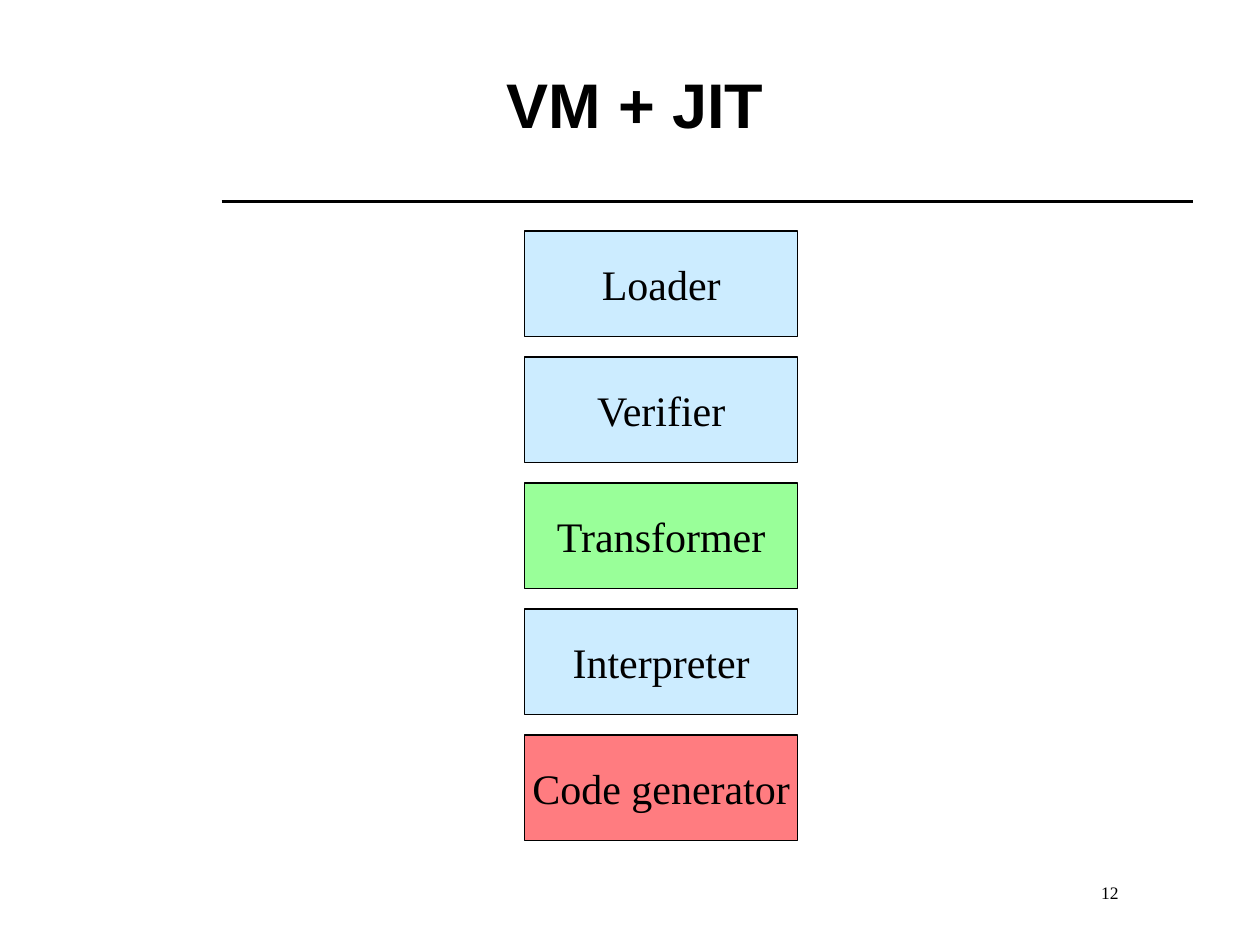
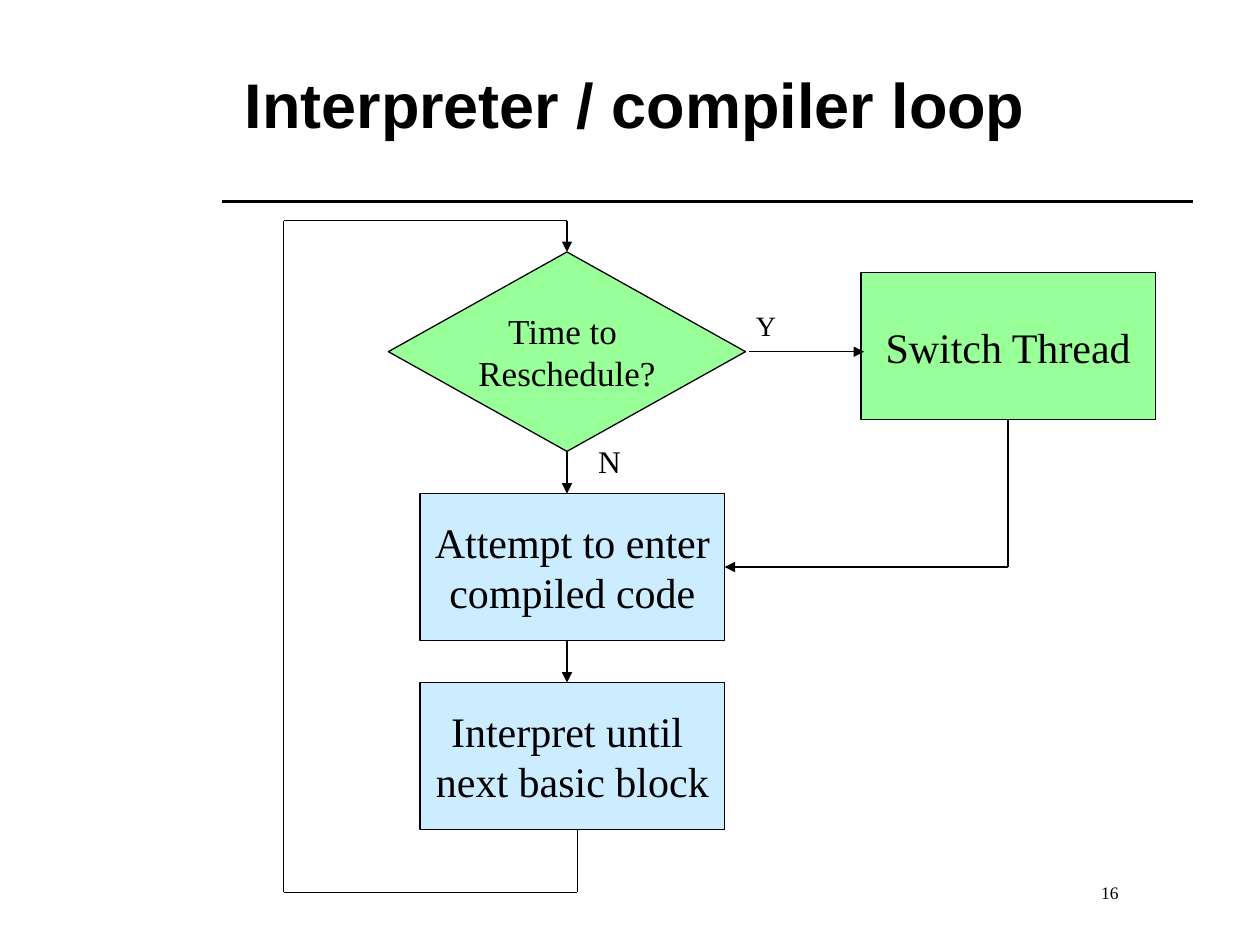
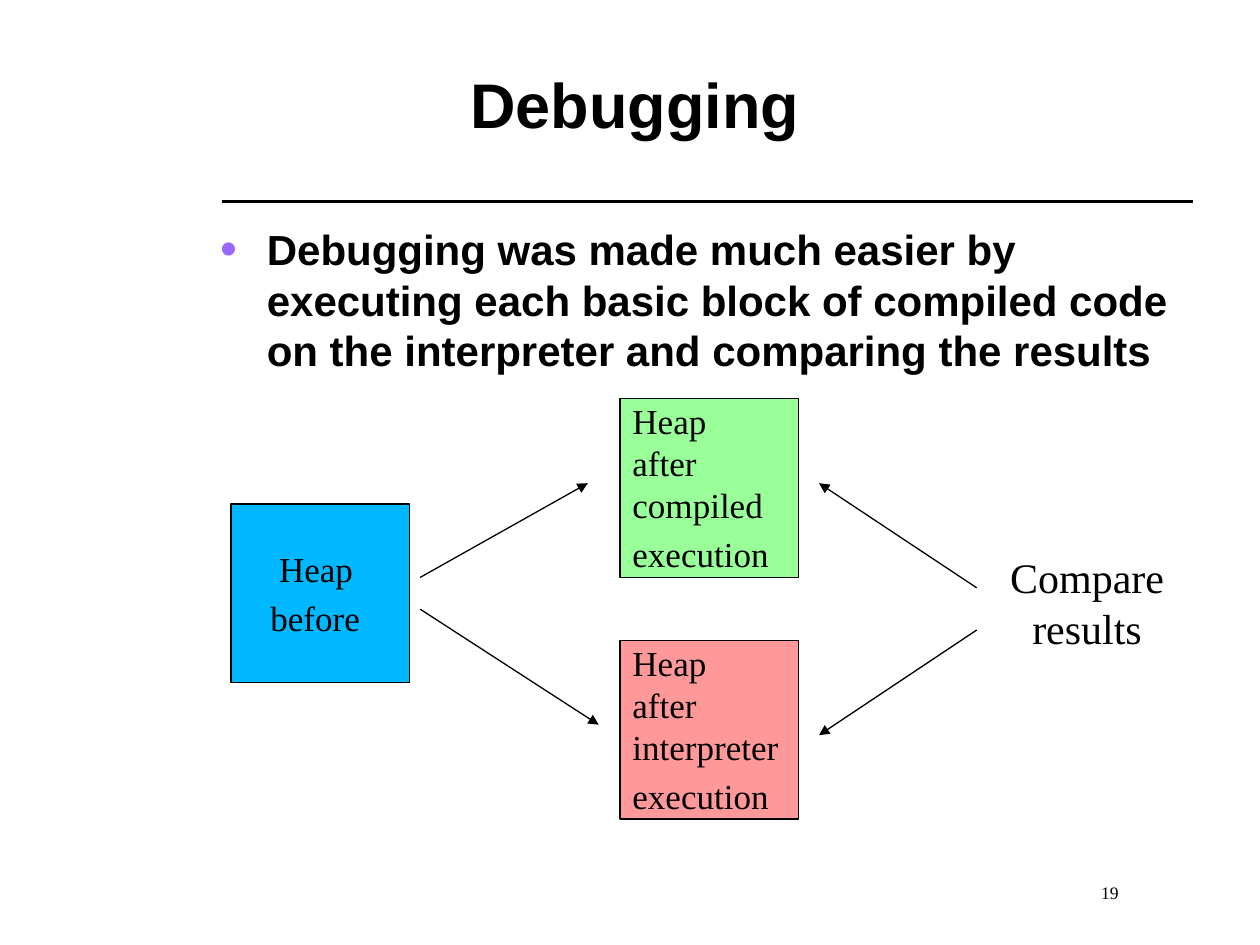
"""Build three slides on a small virtual machine with a compiler."""
from itertools import pairwise

from lxml.etree import SubElement
from pptx import Presentation
from pptx.dml.color import RGBColor
from pptx.enum.shapes import MSO_CONNECTOR, MSO_SHAPE
from pptx.enum.text import MSO_ANCHOR, PP_ALIGN
from pptx.oxml.ns import qn
from pptx.util import Cm, Pt

BLACK = RGBColor(0, 0, 0)
PALE = RGBColor(0xCC, 0xEC, 0xFF)
GREEN = RGBColor(0x99, 0xFF, 0x99)
RED = RGBColor(0xFF, 0x7C, 0x80)
PINK = RGBColor(0xFF, 0x99, 0x99)
BLUE = RGBColor(0x00, 0xB8, 0xFF)
VIOLET = RGBColor(0x99, 0x66, 0xFF)
SERIF, SANS = "Times New Roman", "Arial"
LEFT, MID = PP_ALIGN.LEFT, PP_ALIGN.CENTER
RECT, CHOICE = MSO_SHAPE.RECTANGLE, MSO_SHAPE.FLOWCHART_DECISION

STAGES = [
    ("Loader", PALE),
    ("Verifier", PALE),
    ("Transformer", GREEN),
    ("Interpreter", PALE),
    ("Code generator", RED),
]
STACK_X, STACK_Y, STACK_W, STACK_H, STEP = 10.58, 4.66, 5.5, 2.12, 2.54

STEPS = [
    ("Attempt to enter\ncompiled code", (8.47, 9.95, 6.14, 2.96), PALE, 24, RECT),
    ("Interpret until \nnext basic block", (8.47, 13.76, 6.14, 2.96), PALE, 24, RECT),
    ("Time to \nReschedule?", (7.83, 5.08, 7.2, 4.02), GREEN, 20, CHOICE),
    ("Switch Thread", (17.36, 5.5, 5.93, 2.96), GREEN, 24, RECT),
]
MARKS = [
    ("N", (11.81, 8.79, 0.97, 1.02), 18),
    ("Y", (14.99, 6.1, 0.91, 0.94), 16),
]
FLOWS = [
    [(11.43, 9.1), (11.43, 9.95)],
    [(11.43, 12.91), (11.43, 13.76)],
    [(15.09, 7.09), (17.42, 7.09)],
    [(20.32, 8.47), (20.32, 11.43), (14.61, 11.43)],
    [(11.64, 16.72), (11.64, 17.99), (5.72, 17.99),
     (5.72, 4.45), (11.43, 4.45), (11.43, 5.08)],
]

POINT = ("Debugging was made much easier by executing each basic block of "
         "compiled code on the interpreter and comparing the results")
HEAP = 3.6
HEAPS = [
    ("Heap \nbefore", 4.66, 10.16, BLUE, MID),
    ("Heap\nafter\ncompiled\nexecution", 12.5, 8.04, GREEN, LEFT),
    ("Heap\nafter\ninterpreter\nexecution", 12.5, 12.91, PINK, LEFT),
]
LINKS = [
    [(8.47, 11.64), (11.85, 9.74)],
    [(8.47, 12.28), (12.07, 14.61)],
    [(19.69, 11.85), (16.51, 9.74)],
    [(19.69, 12.7), (16.51, 14.82)],
]


def style(run, size, font=SERIF, bold=False):
    run.font.size = Pt(size)
    run.font.name = font
    run.font.bold = bold
    run.font.color.rgb = BLACK


def write(shape, text, size, align=LEFT, font=SERIF, bold=False, wrap=False, space=1.0):
    frame = shape.text_frame
    frame.word_wrap = wrap
    frame.text = text
    for para in frame.paragraphs:
        para.alignment = align
        para.line_spacing = space
        for run in para.runs:
            style(run, size, font, bold)
    return frame


def label(slide, area, *args, **opts):
    return write(slide.shapes.add_textbox(*map(Cm, area)), *args, **opts)


def block(slide, text, area, fill, size=24, kind=RECT, align=MID):
    shape = slide.shapes.add_shape(kind, *map(Cm, area))
    shape.shadow.inherit = False
    shape.fill.solid()
    shape.fill.fore_color.rgb = fill
    shape.line.color.rgb = BLACK
    shape.line.width = Pt(0.75)
    frame = write(shape, text, size, align)
    frame.vertical_anchor = MSO_ANCHOR.MIDDLE
    return frame


def stroke(slide, start, end, width=0.75, arrow=False):
    line = slide.shapes.add_connector(MSO_CONNECTOR.STRAIGHT, *map(Cm, start + end))
    line.line.color.rgb = BLACK
    line.line.width = Pt(width)
    props = line._element.spPr
    if arrow:
        SubElement(props.find(qn("a:ln")), qn("a:tailEnd"), type="triangle")
    SubElement(props, qn("a:effectLst"))


def route(slide, points):
    for start, end in pairwise(points):
        stroke(slide, start, end, arrow=end == points[-1])


def bullet(para):
    props = para._p.get_or_add_pPr()
    props.set("marL", str(Cm(0.94)))
    props.set("indent", str(-Cm(0.94)))
    color = SubElement(props, qn("a:buClr"))
    SubElement(color, qn("a:srgbClr"), val=str(VIOLET))
    SubElement(props, qn("a:buSzPct"), val="115000")
    SubElement(props, qn("a:buFont"), typeface=SANS)
    SubElement(props, qn("a:buChar"), char="•")


def start_slide(deck, title, number):
    slide = deck.slides.add_slide(deck.slide_layouts[6])
    stroke(slide, (4.47, 4.06), (24.05, 4.06), width=2)
    label(slide, (21.95, 17.68, 1.98, 0.66), number, 10, space=0.95)
    frame = label(slide, (4.29, 0.74, 17.02, 2.97), title, 36, MID, SANS,
                  bold=True, wrap=True, space=0.8)
    frame.vertical_anchor = MSO_ANCHOR.MIDDLE
    return slide


def draw_stack(slide):
    for row, (name, fill) in enumerate(STAGES):
        block(slide, name, (STACK_X, STACK_Y + row * STEP, STACK_W, STACK_H), fill)


def draw_loop(slide):
    for step in STEPS:
        block(slide, *step)
    for text, area, size in MARKS:
        label(slide, area, text, size)
    for points in FLOWS:
        route(slide, points)


def draw_heaps(slide):
    frame = label(slide, (4.19, 4.39, 20.09, 12.95), POINT, 24, font=SANS,
                  bold=True, wrap=True)
    para = frame.paragraphs[0]
    para.space_before = Pt(5.6)
    bullet(para)
    for text, left, top, fill, align in HEAPS:
        frame = block(slide, text, (left, top, HEAP, HEAP), fill, 20, align=align)
        run = frame.paragraphs[-1].add_run()
        run.text = " "
        style(run, 24)
    label(slide, (20.11, 11, 3.61, 2.29), "Compare\nresults", 24, MID)
    for points in LINKS:
        route(slide, points)


def main():
    deck = Presentation()
    deck.slide_width, deck.slide_height = Cm(25.4), Cm(19.05)
    draw_stack(start_slide(deck, "VM + JIT", "12"))
    draw_loop(start_slide(deck, "Interpreter / compiler loop", "16"))
    draw_heaps(start_slide(deck, "Debugging", "19"))
    deck.save("out.pptx")


if __name__ == "__main__":
    main()
